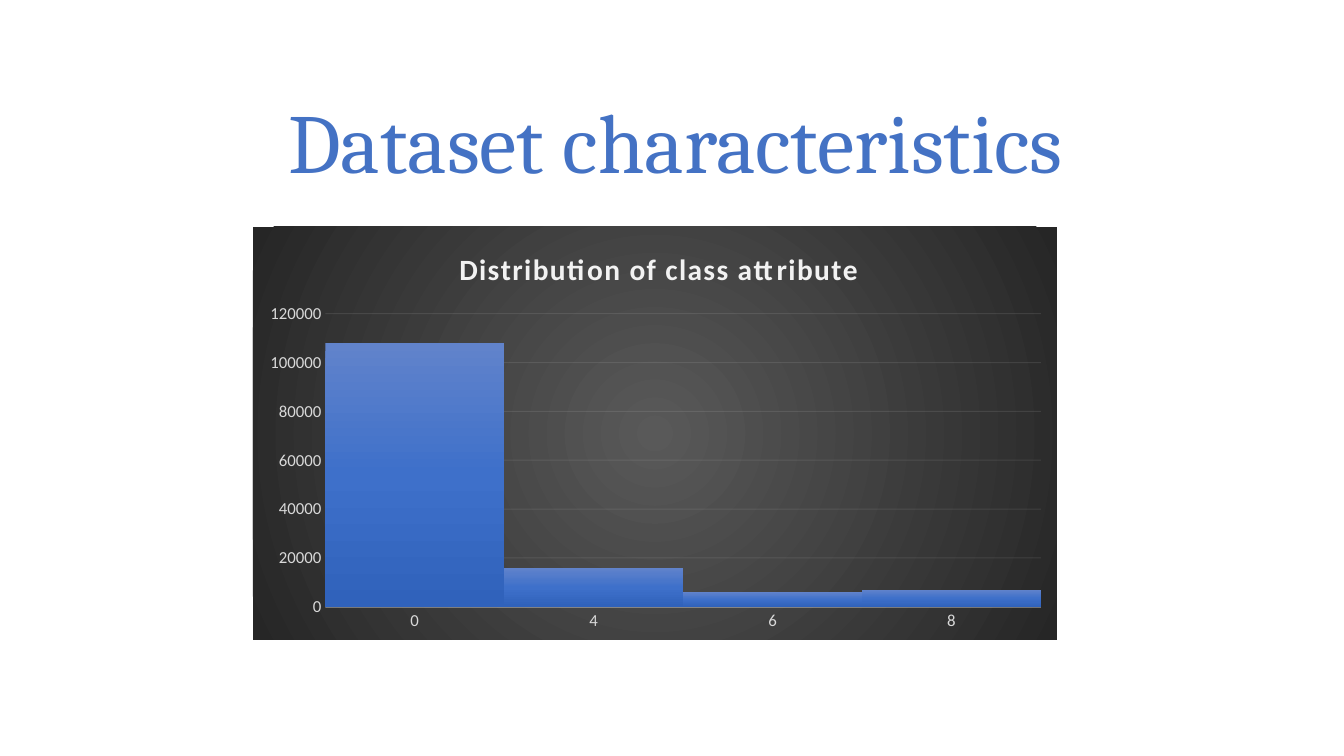
from lxml.etree import SubElement
from pptx import Presentation
from pptx.chart.data import CategoryChartData
from pptx.dml.color import RGBColor
from pptx.enum.chart import XL_CHART_TYPE as ChartType, XL_TICK_MARK as TickMark
from pptx.enum.text import MSO_ANCHOR as Anchor, PP_ALIGN as Align
from pptx.oxml import parse_xml
from pptx.oxml.ns import nsdecls, qn
from pptx.util import Emu, Pt

PX = 914400 / 100.8
BLUE = RGBColor(0x44, 0x72, 0xC4)
PALE = RGBColor(0xF2, 0xF2, 0xF2)
LABEL_GREY = RGBColor(0xD9, 0xD9, 0xD9)
BACKDROP = [RGBColor(0x59, 0x59, 0x59), RGBColor(0x26, 0x26, 0x26)]
BAR_SHADES = [
    RGBColor(0x61, 0x83, 0xCB),
    RGBColor(0x3E, 0x70, 0xCA),
    RGBColor(0x30, 0x62, 0xBB),
]
LINEAR = '<a:lin ang="5400000" scaled="0"/>'
RADIAL = (
    '<a:path path="circle">'
    '<a:fillToRect l="50000" t="50000" r="50000" b="50000"/></a:path>'
)
CLASS_COUNTS = {"0": 108000, "4": 16000, "6": 6000, "8": 7000}


def px(*lengths):
    return [Emu(round(length * PX)) for length in lengths]


def gradient(colors, direction):
    step = 100000 // (len(colors) - 1)
    stops = "".join(
        f'<a:gs pos="{index * step}"><a:srgbClr val="{color}"/></a:gs>'
        for index, color in enumerate(colors)
    )
    return (
        f'<a:gradFill rotWithShape="1"><a:gsLst>{stops}</a:gsLst>'
        f"{direction}</a:gradFill>"
    )


def shape_properties(fill):
    return parse_xml(
        f'<c:spPr {nsdecls("c", "a")}>{fill}<a:ln><a:noFill/></a:ln></c:spPr>'
    )


def style_font(font, name, size, color, bold=False):
    font.name = name
    font.size = Pt(size)
    font.bold = bold
    font.color.rgb = color


def style_line(line, width, opacity):
    line.width = Pt(width)
    line.color.rgb = PALE
    color = line._get_or_add_ln().find(".//" + qn("a:srgbClr"))
    SubElement(color, qn("a:alpha")).set("val", str(opacity * 1000))


def style_axis(axis):
    axis.major_tick_mark = TickMark.NONE
    axis.minor_tick_mark = TickMark.NONE
    style_font(axis.tick_labels.font, "Calibri", 12, LABEL_GREY)


def manual_layout(parts, target=""):
    values = "".join(f'<c:{key} val="{value}"/>' for key, value in parts.items())
    return parse_xml(
        f'<c:layout {nsdecls("c")}><c:manualLayout>{target}'
        f'<c:xMode val="edge"/><c:yMode val="edge"/>{values}'
        "</c:manualLayout></c:layout>"
    )


def replace_layout(parent, layout, position):
    for existing in parent.findall(qn("c:layout")):
        parent.remove(existing)
    parent.insert(position, layout)


def add_heading(slide, text):
    heading = slide.shapes.title
    heading.left, heading.top, heading.width, heading.height = px(55, 73, 1241, 146)
    frame = heading.text_frame
    frame.text = text
    frame.vertical_anchor = Anchor.MIDDLE
    paragraph = frame.paragraphs[0]
    paragraph.alignment = Align.CENTER
    paragraph.line_spacing = 0.9
    style_font(paragraph.font, "Cambria", 60, BLUE)


def add_chart_title(chart, text):
    title = chart.chart_title
    title.text_frame.text = text
    title.include_in_layout = False
    paragraph = title.text_frame.paragraphs[0]
    style_font(paragraph.font, "Calibri", 21, PALE, bold=True)
    paragraph.font._element.set("spc", "100")
    replace_layout(title._element, manual_layout({"x": 0.25, "y": 0.04}), 1)


def add_distribution(slide, counts):
    data = CategoryChartData()
    data.categories = list(counts)
    data.add_series("Series 1", list(counts.values()))
    chart = slide.shapes.add_chart(
        ChartType.COLUMN_CLUSTERED, *px(253, 227, 804, 413), data
    ).chart
    chart.has_legend = False
    chart.font.name = "Calibri"
    chart.font.size = Pt(10)
    add_chart_title(chart, "Distribution of class attribute")

    plot = chart.plots[0]
    plot.vary_by_categories = False
    plot.gap_width = 0
    plot.overlap = -24
    bars = plot.series[0]
    bars.format.fill.solid()
    old_properties = bars._element.find(qn("c:spPr"))
    bars._element.replace(
        old_properties, shape_properties(gradient(BAR_SHADES, LINEAR))
    )

    style_axis(chart.category_axis)
    style_line(chart.category_axis.format.line, 1, 54)
    counts_axis = chart.value_axis
    style_axis(counts_axis)
    counts_axis.minimum_scale = 0
    counts_axis.maximum_scale = 120000
    counts_axis.major_unit = 20000
    counts_axis.format.line.fill.background()
    style_line(counts_axis.major_gridlines.format.line, 0.75, 10)

    chart_part = chart._chartSpace.find(qn("c:chart"))
    chart_part.addnext(shape_properties(gradient(BACKDROP, RADIAL)))
    inner = '<c:layoutTarget val="inner"/>'
    area = {"x": 0.09, "y": 0.21, "w": 0.89, "h": 0.71}
    replace_layout(
        chart_part.find(qn("c:plotArea")), manual_layout(area, inner), 0
    )


def main():
    deck = Presentation()
    deck.slide_width, deck.slide_height = px(1344, 756)
    slide = deck.slides.add_slide(deck.slide_layouts[5])
    add_heading(slide, "Dataset characteristics")
    add_distribution(slide, CLASS_COUNTS)
    deck.save("out.pptx")


if __name__ == "__main__":
    main()
